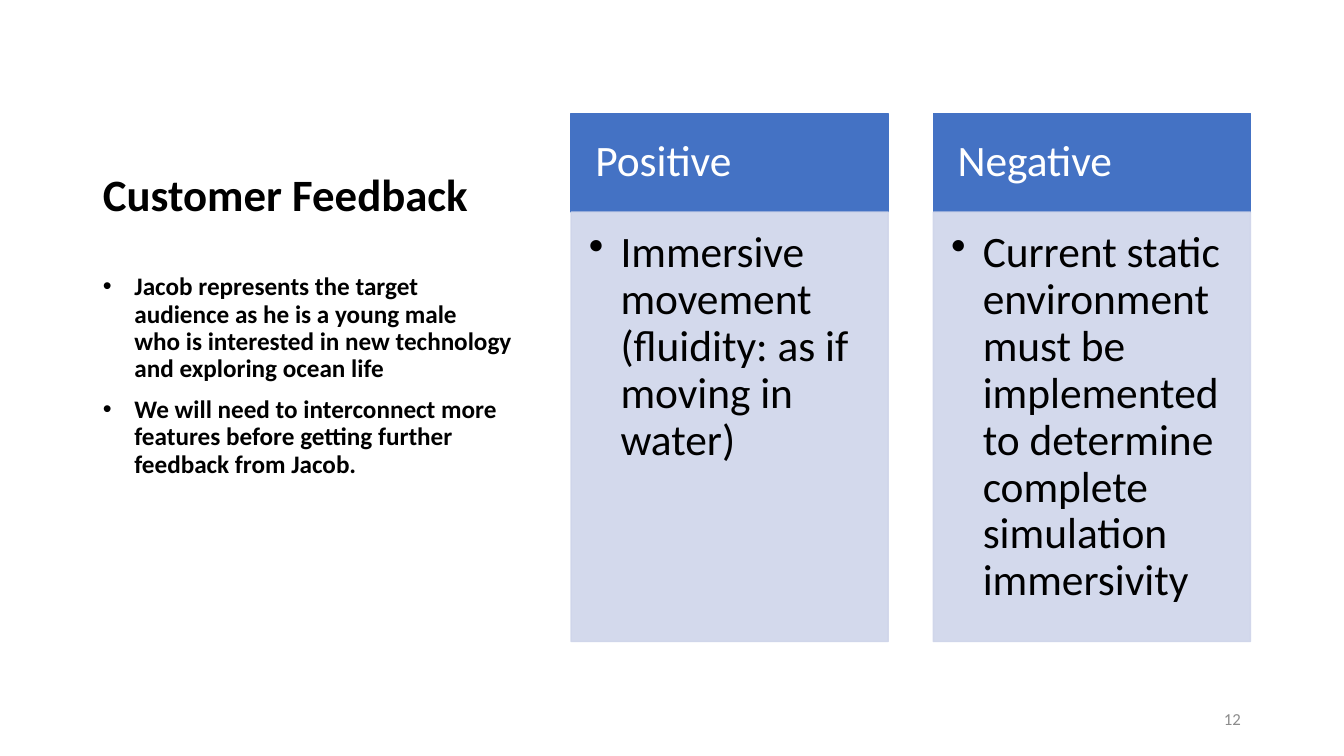
"""Build the customer feedback slide with its positive and negative cards."""
import dataclasses
import typing

import pptx
import pptx.dml.color
import pptx.enum.shapes
import pptx.enum.text
import pptx.oxml.ns
import pptx.util
from lxml import etree

RGB = pptx.dml.color.RGBColor
ALIGN = pptx.enum.text.PP_ALIGN
ANCHOR = pptx.enum.text.MSO_ANCHOR
EMU_PER_PX = 9525


@dataclasses.dataclass(frozen=True)
class Theme:
    font: str = "Calibri"
    ink: RGB = RGB(0x00, 0x00, 0x00)
    paper: RGB = RGB(0xFF, 0xFF, 0xFF)
    accent: RGB = RGB(0x44, 0x72, 0xC4)
    tint: RGB = RGB(0xCF, 0xD5, 0xEA)
    muted: RGB = RGB(0x8C, 0x8C, 0x8C)
    tint_opacity: int = 90
    title_pt: int = 32
    card_pt: int = 31
    feedback_pt: int = 18
    number_pt: int = 12


@dataclasses.dataclass(frozen=True)
class Box:
    left: int
    top: int
    width: int
    height: int


@dataclasses.dataclass(frozen=True)
class Insets:
    left: int = 10
    top: int = 5
    right: int = 10
    bottom: int = 5


@dataclasses.dataclass(frozen=True)
class Card:
    heading: str
    point: str


THEME = Theme()
TITLE_BOX = Box(88, 48, 413, 168)
FEEDBACK_BOX = Box(88, 216, 413, 400)
NUMBER_BOX = Box(904, 667, 288, 38)
CARD_LEFT, CARD_TOP, CARD_WIDTH, CARD_STEP = 544, 108, 302, 345
HEADING_HEIGHT, POINT_HEIGHT = 94, 409
HANGING = 30

FEEDBACK = [
    "Jacob\u00a0represents the target audience as he is a\u00a0young male who\u00a0is "
    "interested in new\u00a0technology and exploring\u00a0ocean life",
    "We will need to interconnect more features before getting further feedback from Jacob.",
]
CARDS = [
    Card("Positive", "Immersive movement (fluidity: as if moving in water)"),
    Card("Negative", "Current static environment must be implemented to determine "
                     "complete simulation immersivity"),
]


def px(length: int) -> int:
    """Turn pixels into EMU."""
    return pptx.util.Emu(length * EMU_PER_PX)


def apply(target: typing.Any, values: dict[str, typing.Any]) -> None:
    """Set every named attribute on the target."""
    for name, value in values.items():
        setattr(target, name, value)


def place(shape: typing.Any, box: Box) -> None:
    """Move and size a shape."""
    apply(shape, {name: px(value) for name, value in dataclasses.asdict(box).items()})


def add_bullet(paragraph: typing.Any) -> None:
    """Give a paragraph a hanging round bullet."""
    properties = paragraph._p.get_or_add_pPr()
    properties.set("marL", str(px(HANGING)))
    properties.set("indent", str(-px(HANGING)))
    etree.SubElement(properties, pptx.oxml.ns.qn("a:buChar")).set("char", "•")


def write(shape: typing.Any, lines: list[str], size: int, color: RGB,
          insets: Insets = Insets(), anchor: ANCHOR = ANCHOR.TOP,
          align: ALIGN = ALIGN.LEFT, bold: bool = False,
          bulleted: bool = False, space_before: int = 0) -> None:
    """Fill a shape with formatted paragraphs."""
    frame = shape.text_frame
    apply(frame, {"word_wrap": True, "vertical_anchor": anchor,
                  "auto_size": pptx.enum.text.MSO_AUTO_SIZE.NONE})
    apply(frame, {f"margin_{side}": px(value)
                  for side, value in dataclasses.asdict(insets).items()})
    for index, line in enumerate(lines):
        paragraph = frame.add_paragraph() if index else frame.paragraphs[0]
        apply(paragraph, {"alignment": align, "line_spacing": 0.9,
                          "space_before": pptx.util.Pt(space_before)})
        if bulleted:
            add_bullet(paragraph)
        run = paragraph.add_run()
        run.text = line
        apply(run.font, {"name": THEME.font, "size": pptx.util.Pt(size), "bold": bold})
        run.font.color.rgb = color


def add_panel(slide: typing.Any, box: Box, color: RGB, opacity: int = 100) -> typing.Any:
    """Add a flat rectangle whose fill and line share one colour."""
    panel = slide.shapes.add_shape(
        pptx.enum.shapes.MSO_SHAPE.RECTANGLE, 0, 0, 0, 0)
    place(panel, box)
    panel.shadow.inherit = False
    panel.fill.solid()
    panel.fill.fore_color.rgb = color
    panel.line.color.rgb = color
    panel.line.width = pptx.util.Pt(1)
    if opacity < 100:
        for tone in panel._element.spPr.iter(pptx.oxml.ns.qn("a:srgbClr")):
            etree.SubElement(tone, pptx.oxml.ns.qn("a:alpha")).set("val", str(opacity * 1000))
    return panel


def add_card(slide: typing.Any, card: Card, left: int) -> None:
    """Add a heading panel with its point beneath."""
    heading = add_panel(slide, Box(left, CARD_TOP, CARD_WIDTH, HEADING_HEIGHT), THEME.accent)
    write(heading, [card.heading], THEME.card_pt, THEME.paper,
          Insets(23, 13, 23, 13), ANCHOR.MIDDLE)
    point = add_panel(slide, Box(left, CARD_TOP + HEADING_HEIGHT, CARD_WIDTH, POINT_HEIGHT),
                      THEME.tint, THEME.tint_opacity)
    write(point, [card.point], THEME.card_pt, THEME.ink,
          Insets(17, 17, 23, 26), bulleted=True)


def main() -> None:
    """Build and save the slide."""
    deck = pptx.Presentation()
    apply(deck, {"slide_width": px(1280), "slide_height": px(720)})
    slide = deck.slides.add_slide(deck.slide_layouts[1])

    title = slide.shapes.title
    place(title, TITLE_BOX)
    write(title, ["Customer Feedback"], THEME.title_pt, THEME.ink,
          anchor=ANCHOR.BOTTOM, bold=True)

    for index, card in enumerate(CARDS):
        add_card(slide, card, CARD_LEFT + index * CARD_STEP)

    feedback = slide.placeholders[1]
    place(feedback, FEEDBACK_BOX)
    write(feedback, FEEDBACK, THEME.feedback_pt, THEME.ink, Insets(top=45),
          bold=True, bulleted=True, space_before=10)

    number = slide.shapes.add_textbox(0, 0, 0, 0)
    place(number, NUMBER_BOX)
    write(number, ["12"], THEME.number_pt, THEME.muted,
          anchor=ANCHOR.MIDDLE, align=ALIGN.RIGHT)

    deck.save("out.pptx")


if __name__ == "__main__":
    main()
